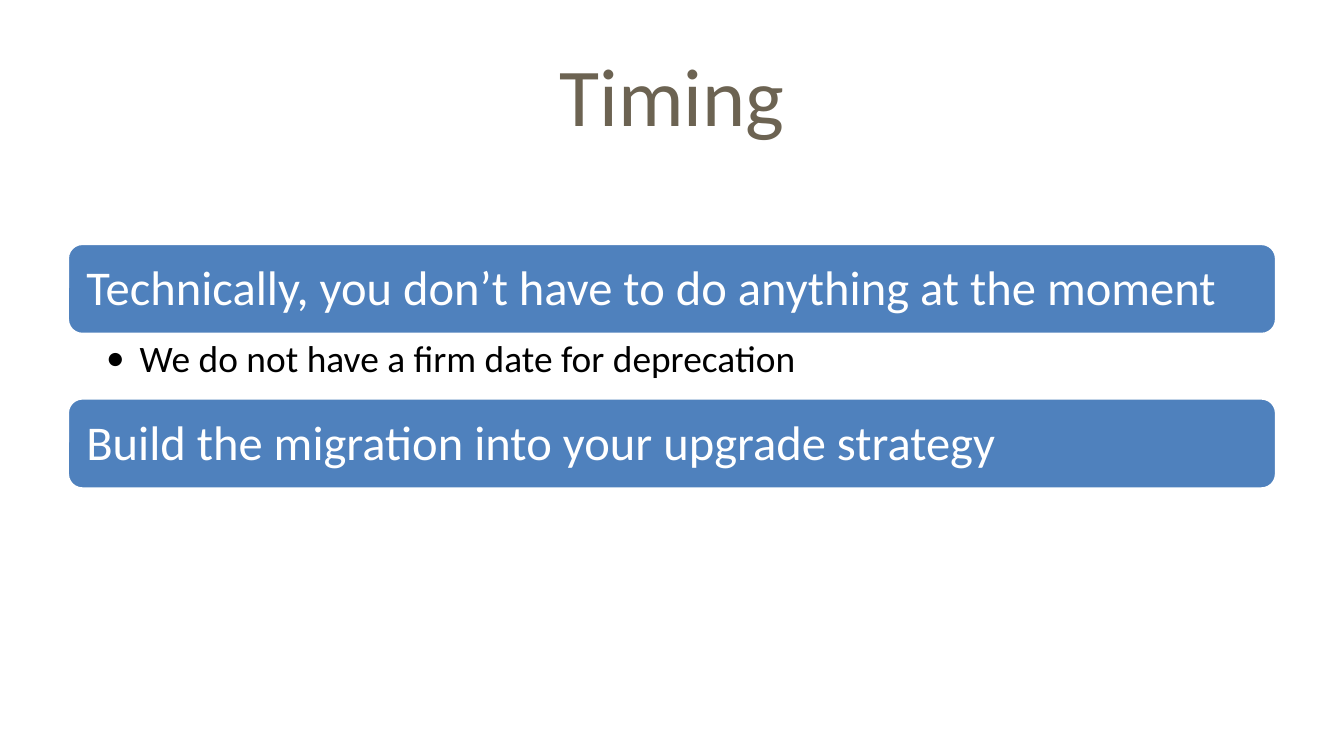
from dataclasses import dataclass

from pptx import Presentation
from pptx.dml.color import RGBColor as RGB
from pptx.enum.shapes import MSO_SHAPE as Shape
from pptx.enum.text import MSO_ANCHOR as Anchor, PP_ALIGN as Align
from pptx.oxml.ns import qn
from pptx.util import Inches, Pt
from lxml.etree import SubElement


@dataclass(frozen=True)
class Theme:
    font: str = "Calibri"
    brown: RGB = RGB(0x6C, 0x63, 0x52)
    blue: RGB = RGB(0x4F, 0x81, 0xBD)
    white: RGB = RGB(255, 255, 255)
    black: RGB = RGB(0, 0, 0)
    title: int = 44
    head: int = 26
    body: int = 20


@dataclass(frozen=True)
class Topic:
    head: str
    note: str = ""


THEME = Theme()
WIDE, HIGH = 10, 10 * 9 / 16
LEFT, WIDTH = 0.5, 9
TOP, BAR, NOTE = 1.81, 0.68, 0.47
TOPICS = [
    Topic("Technically, you don’t have to do anything at the moment",
          "We do not have a firm date for deprecation"),
    Topic("Build the migration into your upgrade strategy"),
]


def write(shape, text: str, size: int, color: RGB, anchor, align, pad: tuple):
    """Fill a shape with one styled paragraph; pad is left, top, right, bottom."""
    frame = shape.text_frame
    frame.word_wrap = True
    frame.vertical_anchor = anchor
    (frame.margin_left, frame.margin_top,
     frame.margin_right, frame.margin_bottom) = map(Inches, pad)
    frame.text = text
    para = frame.paragraphs[0]
    para.alignment = align
    font = para.runs[0].font
    font.name, font.size = THEME.font, Pt(size)
    font.color.rgb = color
    return para


def add_box(slide, top: float, height: float):
    return slide.shapes.add_textbox(
        Inches(LEFT), Inches(top), Inches(WIDTH), Inches(height))


def add_title(slide, text: str) -> None:
    write(add_box(slide, 0.23, 0.94), text, THEME.title, THEME.brown,
          Anchor.MIDDLE, Align.CENTER, (0.1, 0.05, 0.1, 0.05))


def add_bar(slide, text: str, top: float) -> None:
    bar = slide.shapes.add_shape(
        Shape.ROUNDED_RECTANGLE,
        Inches(LEFT), Inches(top), Inches(WIDTH), Inches(BAR))
    bar.shadow.inherit = False
    bar.fill.solid()
    bar.fill.fore_color.rgb = THEME.blue
    bar.line.color.rgb = THEME.white
    bar.line.width = Pt(2)
    para = write(bar, text, THEME.head, THEME.white,
                 Anchor.MIDDLE, Align.LEFT, (0.11, 0.12, 0.11, 0.1))
    para.line_spacing = 0.9


def add_note(slide, text: str, top: float) -> None:
    para = write(add_box(slide, top, NOTE), text, THEME.body, THEME.black,
                 Anchor.TOP, Align.LEFT, (0.29, 0.04, 0.2, 0.04))
    para.level = 1
    para.line_spacing = 0.9
    # Hanging bullet
    props = para._p.get_or_add_pPr()
    props.set("marL", str(Inches(0.25)))
    props.set("indent", str(Inches(-0.25)))
    SubElement(props, qn("a:buFont"), typeface=THEME.font)
    SubElement(props, qn("a:buChar"), char="•")


def main() -> None:
    deck = Presentation()
    deck.slide_width, deck.slide_height = Inches(WIDE), Inches(HIGH)
    slide = deck.slides.add_slide(deck.slide_layouts[6])

    add_title(slide, "Timing")

    # Stack the bars, each with its note below
    top = TOP
    for topic in TOPICS:
        add_bar(slide, topic.head, top)
        top += BAR
        if topic.note:
            add_note(slide, topic.note, top)
            top += NOTE

    deck.save("out.pptx")


if __name__ == "__main__":
    main()
